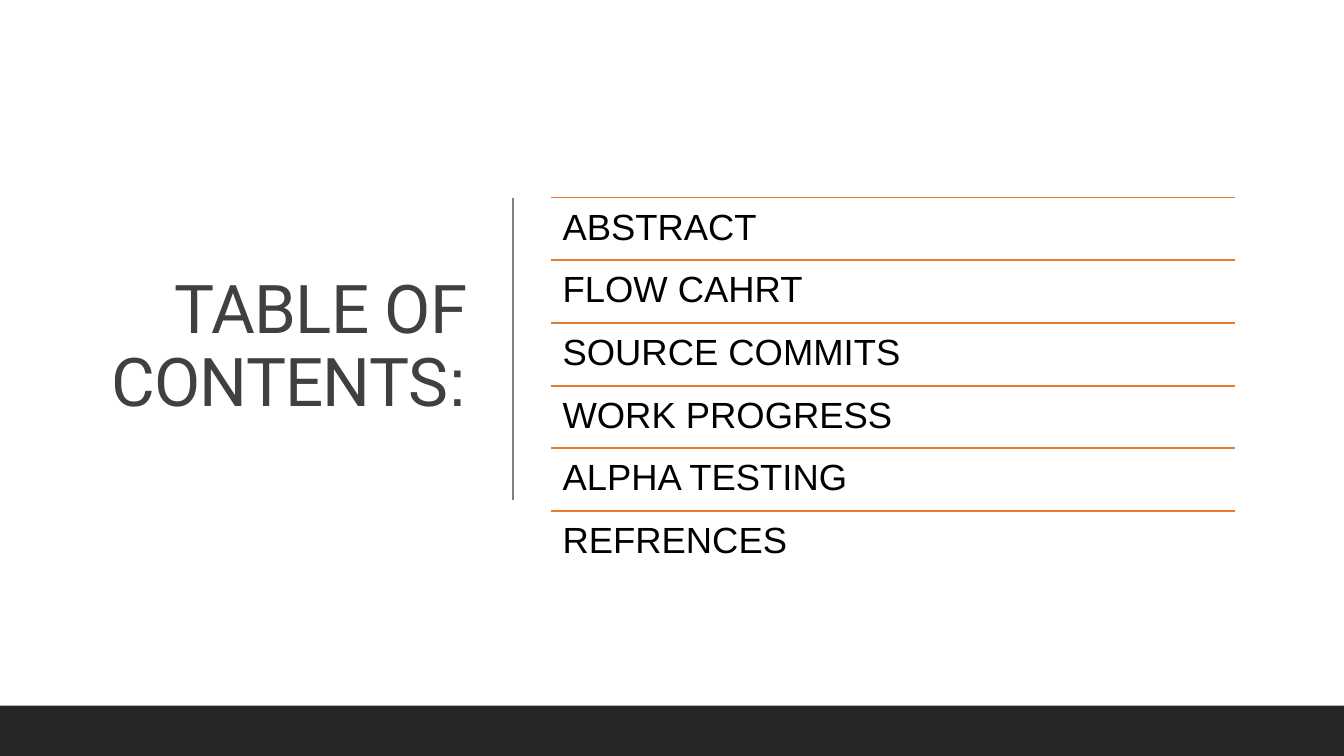
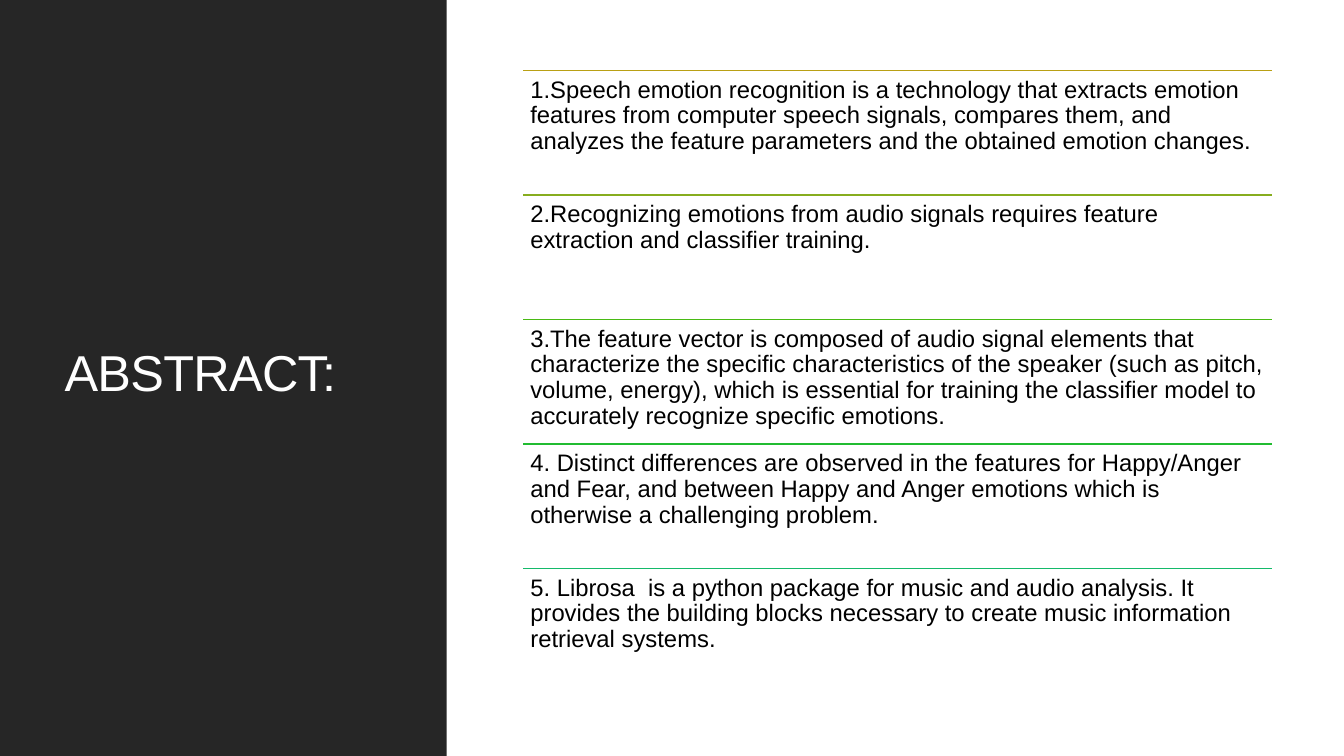
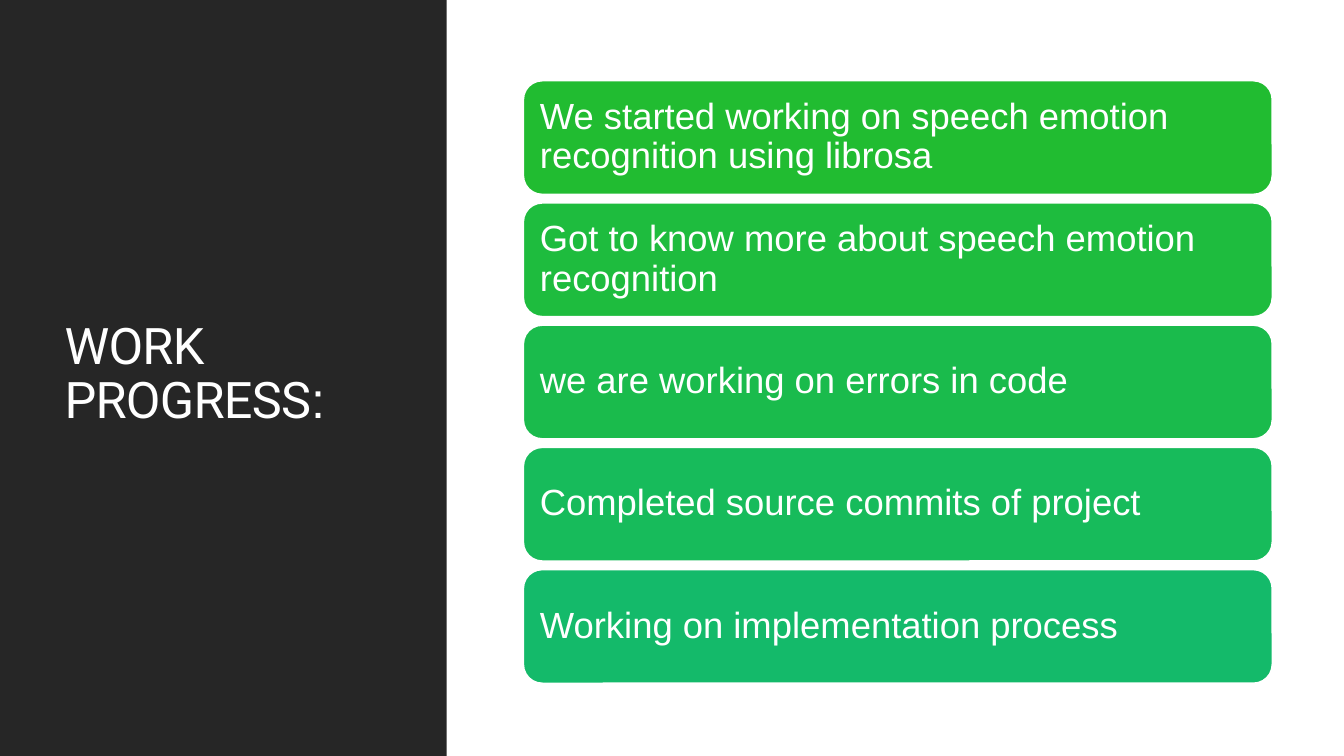
from collections.abc import Iterator, Sequence
from dataclasses import dataclass

from lxml.etree import SubElement
from pptx import Presentation
from pptx.dml.color import RGBColor
from pptx.enum.shapes import MSO_CONNECTOR, MSO_SHAPE
from pptx.enum.text import MSO_ANCHOR, MSO_AUTO_SIZE, PP_ALIGN
from pptx.oxml.ns import qn
from pptx.slide import Slide
from pptx.text.text import TextFrame
from pptx.util import Inches, Pt

# Shared look
WHITE = RGBColor(0xFF, 0xFF, 0xFF)
BLACK = RGBColor(0x00, 0x00, 0x00)
CHARCOAL = RGBColor(0x26, 0x26, 0x26)
TITLE_GRAY = RGBColor(0x40, 0x40, 0x40)
DIVIDER_GRAY = RGBColor(0x80, 0x80, 0x80)
ORANGE = RGBColor(0xE7, 0x7B, 0x29)
OLIVE = RGBColor(0xB9, 0xA0, 0x14)
LIME = RGBColor(0x87, 0xAD, 0x1F)
LEAF = RGBColor(0x49, 0xBA, 0x14)
GREEN = RGBColor(0x21, 0xBC, 0x31)
GREEN_2 = RGBColor(0x1E, 0xBC, 0x3E)
GREEN_3 = RGBColor(0x1A, 0xBB, 0x4C)
GREEN_4 = RGBColor(0x17, 0xBB, 0x5B)
TEAL = RGBColor(0x14, 0xBA, 0x6A)

TITLE_FONT = "Roboto"
BODY_FONT = "Arial"
SLIDE_WIDTH, SLIDE_HEIGHT = 13.33, 7.5
TITLE_ONLY_LAYOUT = 5
LINE_SPACING = 0.9


@dataclass(frozen=True)
class Box:
    left: float
    top: float
    width: float
    height: float

    def lengths(self) -> tuple[Inches, Inches, Inches, Inches]:
        return Inches(self.left), Inches(self.top), Inches(self.width), Inches(self.height)


@dataclass(frozen=True)
class TitleStyle:
    box: Box
    size: int
    color: RGBColor
    align: PP_ALIGN


@dataclass(frozen=True)
class RowStyle:
    """Equal rows: the first row's box and the top of the last row."""
    first: Box
    last_top: float
    size: int
    inset: float


@dataclass(frozen=True)
class Item:
    text: str
    color: RGBColor


FOOTER_BAND = Box(0, 7, SLIDE_WIDTH, 0.5)
SIDE_PANEL = Box(0, 0, 4.43, SLIDE_HEIGHT)

CONTENTS_TITLE = TitleStyle(Box(0.7, 0.69, 4.03, 5.53), 48, TITLE_GRAY, PP_ALIGN.RIGHT)
PANEL_TITLE = TitleStyle(Box(0.54, 0.57, 3.37, 6.31), 36, WHITE, PP_ALIGN.LEFT)

CONTENTS_ROWS = RowStyle(Box(5.47, 1.96, 6.78, 0.62), 5.07, 26, 0.11)
ABSTRACT_ROWS = RowStyle(Box(5.19, 0.7, 7.43, 1.24), 5.64, 17, 0.07)
PROGRESS_ROWS = RowStyle(Box(5.19, 0.8, 7.43, 1.13), 5.65, 26, 0.11)

CONTENTS = [Item(text, ORANGE) for text in (
    "ABSTRACT", "FLOW CAHRT", "SOURCE COMMITS",
    "WORK PROGRESS", "ALPHA TESTING", "REFRENCES",
)]
ABSTRACT = [
    Item("1.Speech emotion recognition is a technology that extracts emotion features "
         "from computer speech signals, compares them, and analyzes the feature "
         "parameters and the obtained emotion changes.", OLIVE),
    Item("2.Recognizing emotions from audio signals requires feature extraction and "
         "classifier training.", LIME),
    Item("3.The feature vector is composed of audio signal elements that characterize "
         "the specific characteristics of the speaker (such as pitch, volume, energy), "
         "which is essential for training the classifier model to accurately recognize "
         "specific emotions.", LEAF),
    Item("4. Distinct differences are observed in the features for Happy/Anger and Fear, "
         "and between Happy and Anger emotions which is otherwise a challenging "
         "problem.", GREEN),
    Item("5. Librosa  is a python package for music and audio analysis. It provides the "
         "building blocks necessary to create music information retrieval systems.", TEAL),
]
PROGRESS = [
    Item("We started working on speech emotion recognition using librosa", GREEN),
    Item("Got to know more about speech emotion recognition", GREEN_2),
    Item("we are working on errors in code", GREEN_3),
    Item("Completed source commits of project", GREEN_4),
    Item("Working on implementation process", TEAL),
]


def add_band(slide: Slide, box: Box) -> None:
    band = slide.shapes.add_shape(MSO_SHAPE.RECTANGLE, *box.lengths())
    band.shadow.inherit = False
    band.fill.solid()
    band.fill.fore_color.rgb = CHARCOAL
    band.line.fill.background()


def add_rule(slide: Slide, start: tuple[float, float], end: tuple[float, float],
             color: RGBColor, weight: float) -> None:
    rule = slide.shapes.add_connector(
        MSO_CONNECTOR.STRAIGHT, *(Inches(value) for value in (*start, *end)))
    rule.line.color.rgb = color
    rule.line.width = Pt(weight)
    SubElement(rule._element.spPr, qn("a:effectLst"))


def set_title(slide: Slide, words: str, word_font: str, style: TitleStyle) -> None:
    """Fill the title placeholder; the closing colon is always in the body font."""
    title = slide.shapes.title
    title.left, title.top, title.width, title.height = style.box.lengths()
    frame = title.text_frame
    frame.word_wrap = True
    frame.auto_size = MSO_AUTO_SIZE.NONE
    frame.vertical_anchor = MSO_ANCHOR.MIDDLE
    heading = frame.paragraphs[0]
    heading.alignment = style.align
    heading.line_spacing = LINE_SPACING
    heading.space_after = Pt(6)
    for text, font in ((words, word_font), (":", BODY_FONT)):
        run = heading.add_run()
        run.text = text
        run.font.name = font
        run.font.size = Pt(style.size)
        run.font.color.rgb = style.color
        run.font._element.set("spc", "-50")
    # Bring the title in front of the panel
    slide.shapes._spTree.append(title._element)


def set_row_text(frame: TextFrame, text: str, style: RowStyle, color: RGBColor,
                 anchor: MSO_ANCHOR) -> None:
    frame.text = text
    frame.word_wrap = True
    frame.vertical_anchor = anchor
    frame.margin_left = frame.margin_right = Inches(style.inset)
    frame.margin_top = frame.margin_bottom = Inches(style.inset)
    paragraph = frame.paragraphs[0]
    paragraph.alignment = PP_ALIGN.LEFT
    paragraph.line_spacing = LINE_SPACING
    font = paragraph.runs[0].font
    font.name = BODY_FONT
    font.size = Pt(style.size)
    font.color.rgb = color


def place_rows(items: Sequence[Item], style: RowStyle) -> Iterator[tuple[Item, Box]]:
    first = style.first
    pitch = (style.last_top - first.top) / (len(items) - 1)
    for index, item in enumerate(items):
        yield item, Box(first.left, first.top + index * pitch, first.width, first.height)


def add_ruled_rows(slide: Slide, items: Sequence[Item], style: RowStyle) -> None:
    for item, box in place_rows(items, style):
        add_rule(slide, (box.left, box.top), (box.left + box.width, box.top),
                 item.color, 1.25)
        entry = slide.shapes.add_textbox(*box.lengths())
        set_row_text(entry.text_frame, item.text, style, BLACK, MSO_ANCHOR.TOP)


def add_cards(slide: Slide, items: Sequence[Item], style: RowStyle) -> None:
    for item, box in place_rows(items, style):
        card = slide.shapes.add_shape(MSO_SHAPE.ROUNDED_RECTANGLE, *box.lengths())
        card.shadow.inherit = False
        card.fill.solid()
        card.fill.fore_color.rgb = item.color
        card.line.color.rgb = WHITE
        card.line.width = Pt(1.25)
        set_row_text(card.text_frame, item.text, style, WHITE, MSO_ANCHOR.MIDDLE)


def main() -> None:
    deck = Presentation()
    deck.slide_width, deck.slide_height = Inches(SLIDE_WIDTH), Inches(SLIDE_HEIGHT)
    layout = deck.slide_layouts[TITLE_ONLY_LAYOUT]

    # Table of contents
    contents = deck.slides.add_slide(layout)
    add_band(contents, FOOTER_BAND)
    set_title(contents, "TABLE OF CONTENTS", TITLE_FONT, CONTENTS_TITLE)
    add_rule(contents, (5.09, 1.96), (5.09, 4.96), DIVIDER_GRAY, 1)
    add_ruled_rows(contents, CONTENTS, CONTENTS_ROWS)

    # Abstract
    abstract = deck.slides.add_slide(layout)
    add_band(abstract, SIDE_PANEL)
    set_title(abstract, "ABSTRACT", BODY_FONT, PANEL_TITLE)
    add_ruled_rows(abstract, ABSTRACT, ABSTRACT_ROWS)

    # Work progress
    progress = deck.slides.add_slide(layout)
    add_band(progress, SIDE_PANEL)
    set_title(progress, "WORK PROGRESS", TITLE_FONT, PANEL_TITLE)
    add_cards(progress, PROGRESS, PROGRESS_ROWS)

    deck.save("out.pptx")


if __name__ == "__main__":
    main()
